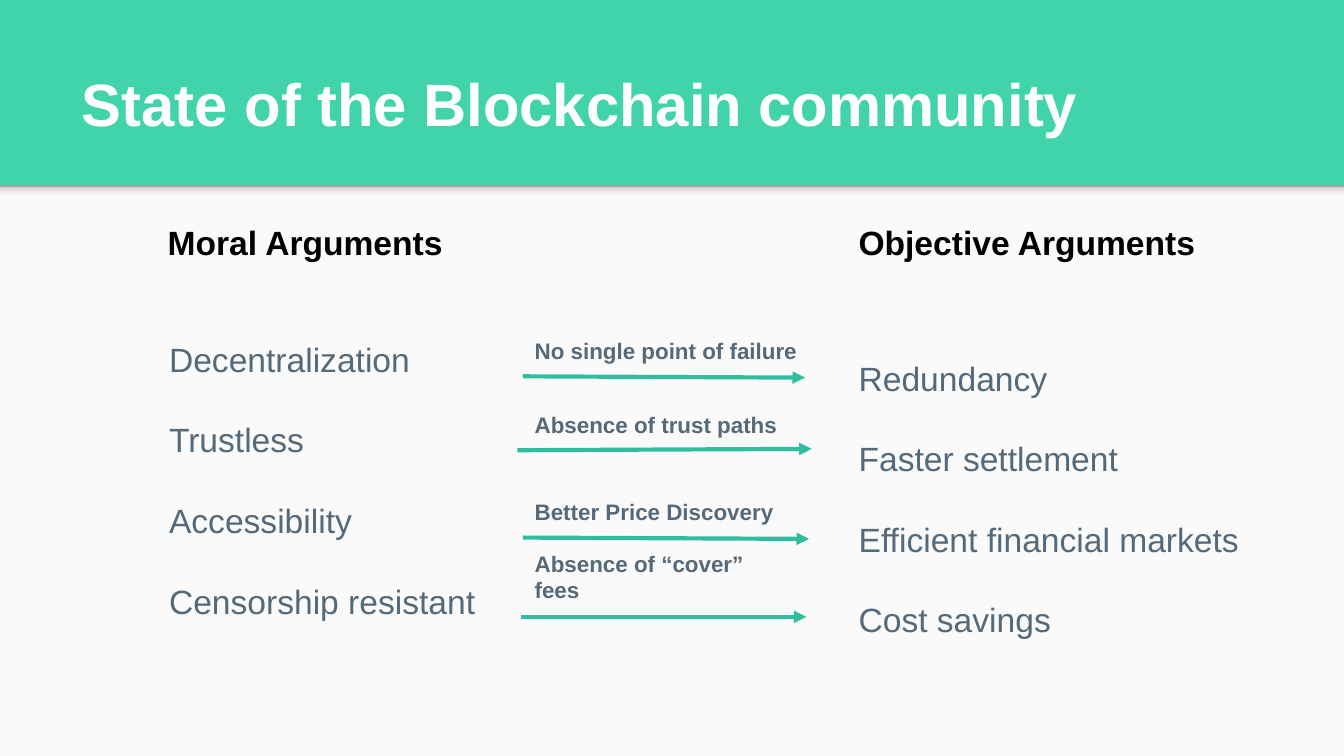
import copy

import pptx
import pptx.dml.color
import pptx.enum.shapes
import pptx.enum.text
import pptx.oxml
import pptx.oxml.ns
import pptx.util

RGB = pptx.dml.color.RGBColor
Inches = pptx.util.Inches
qn = pptx.oxml.ns.qn

GREEN = RGB(0x41, 0xD3, 0xA9)
PAPER = RGB(0xFA, 0xFA, 0xFA)
WHITE = RGB(0xFF, 0xFF, 0xFF)
BLACK = RGB(0, 0, 0)
SLATE = RGB(0x54, 0x69, 0x79)
TEAL = RGB(0x30, 0xBD, 0x9F)
SHADE_STOPS = [(0, RGB(0xF9, 0xF9, 0xF9)), (0.36, RGB(0xF9, 0xF9, 0xF9)),
               (0.8, RGB(0xDE, 0xDE, 0xDE)), (1, RGB(0x99, 0x99, 0x99))]

WIDTH = 10
HEIGHT = WIDTH * 9 / 16
HEADER_HEIGHT = 1.41
PADDING = 0.1
LABEL_LEFT, LABEL_HEIGHT = 3.88, 0.41
LIST_HEIGHT = 3.15
LIST_BOTTOM_MARGIN = 0.7

MORAL = ["Decentralization", "Trustless", "Accessibility", "Censorship resistant"]
OBJECTIVE = ["Redundancy", "Faster settlement", "Efficient financial markets", "Cost savings"]
# Label, label top, label width, arrow start, arrow end
LINKS = [
    ("No single point of failure", 2.4, 2.29, (3.89, 2.8), (5.99, 2.81)),
    ("Absence of trust paths", 2.95, 2.13, (3.85, 3.35), (6.04, 3.34)),
    ("Better Price Discovery", 3.6, 2.13, (3.89, 4), (6.02, 4.01)),
    ("Absence of “cover” fees", 4.18, 2.13, (3.88, 4.59), (6, 4.59)),
]


def write(shape, lines, size, color, bold=False, gap=0, bottom=PADDING):
    """Fill a shape with bottom-anchored lines, gap points apart."""
    frame = shape.text_frame
    frame.word_wrap = True
    frame.auto_size = pptx.enum.text.MSO_AUTO_SIZE.NONE
    frame.vertical_anchor = pptx.enum.text.MSO_ANCHOR.BOTTOM
    frame.margin_left = frame.margin_right = frame.margin_top = Inches(PADDING)
    frame.margin_bottom = Inches(bottom)
    frame.text = "\n".join(lines)
    for paragraph in frame.paragraphs:
        paragraph.alignment = pptx.enum.text.PP_ALIGN.LEFT
        paragraph.space_before = pptx.util.Pt(gap)
        paragraph.font.name = "Arial"
        paragraph.font.size = pptx.util.Pt(size)
        paragraph.font.bold = bold
        paragraph.font.color.rgb = color


def add_text(slide, box, lines, size, color, **options):
    shape = slide.shapes.add_textbox(*map(Inches, box))
    write(shape, lines, size, color, **options)


def add_panel(slide, box):
    panel = slide.shapes.add_shape(
        pptx.enum.shapes.MSO_SHAPE.RECTANGLE, *map(Inches, box))
    panel.shadow.inherit = False
    panel.line.fill.background()
    return panel


def shade(shape):
    """Fade from grey at the top edge to the paper colour."""
    shape.fill.gradient()
    shape.fill.gradient_angle = 90
    stop_list = shape._element.spPr.find(".//" + qn("a:gsLst"))
    for _ in range(len(SHADE_STOPS) - len(stop_list)):
        stop_list.append(copy.deepcopy(stop_list[0]))
    for stop, (position, color) in zip(shape.fill.gradient_stops, SHADE_STOPS):
        stop.position = position
        stop.color.rgb = color


def add_header(slide, box):
    left, top, width, height = box
    body = add_panel(slide, (left, top + height, width, HEIGHT - height))
    body.fill.solid()
    body.fill.fore_color.rgb = PAPER
    shade(add_panel(slide, (left, top + height - 0.03, width, 0.12)))

    title = slide.shapes.title
    title.left, title.top = Inches(left + 0.51), Inches(top + 0.29)
    title.width, title.height = Inches(8.99), Inches(0.84)
    write(title, ["State of the Blockchain community"], 32, WHITE, bold=True)


def add_heading(slide, box, heading):
    add_text(slide, box, [heading], 18, BLACK, bold=True)


def add_list(slide, box, items):
    add_text(slide, box, items, 18, SLATE, gap=21.6, bottom=LIST_BOTTOM_MARGIN)


def add_arrow(slide, start, end):
    arrow = slide.shapes.add_connector(
        pptx.enum.shapes.MSO_CONNECTOR.STRAIGHT, *map(Inches, (*start, *end)))
    arrow.line.color.rgb = TEAL
    arrow.line.width = pptx.util.Pt(2.25)
    head = pptx.oxml.parse_xml(
        f'<a:tailEnd {pptx.oxml.ns.nsdecls("a")} type="triangle"/>')
    arrow.line._get_or_add_ln().append(head)
    arrow._element.spPr.append(
        pptx.oxml.parse_xml(f'<a:effectLst {pptx.oxml.ns.nsdecls("a")}/>'))


def add_links(slide, left):
    for label, top, width, start, end in LINKS:
        add_arrow(slide, start, end)
        add_text(slide, (left, top, width, LABEL_HEIGHT), [label], 12, SLATE, bold=True)


def main():
    presentation = pptx.Presentation()
    presentation.slide_width = Inches(WIDTH)
    presentation.slide_height = Inches(HEIGHT)
    slide = presentation.slides.add_slide(presentation.slide_layouts.get_by_name("Title Only"))
    slide.background.fill.solid()
    slide.background.fill.fore_color.rgb = GREEN

    add_header(slide, (0, 0, WIDTH, HEADER_HEIGHT))
    add_heading(slide, (1.15, 1.64, 2.5, 0.41), "Moral Arguments")
    add_heading(slide, (6.29, 1.64, 2.84, 0.41), "Objective Arguments")
    add_list(slide, (1.16, 2.17, 2.5, LIST_HEIGHT), MORAL)
    add_list(slide, (6.29, 2.31, 3.45, LIST_HEIGHT), OBJECTIVE)
    add_links(slide, LABEL_LEFT)
    presentation.save("out.pptx")


if __name__ == "__main__":
    main()
